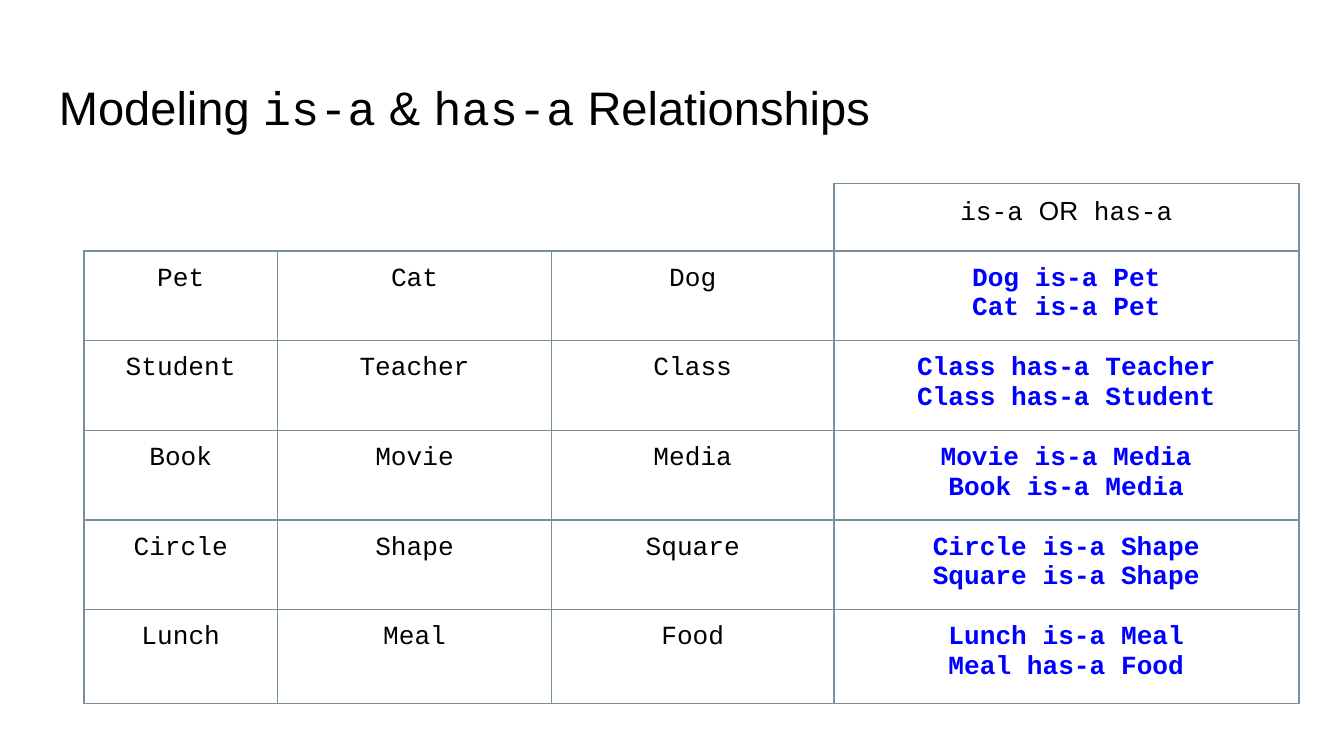
from copy import deepcopy
from lxml.etree import SubElement
from pptx import Presentation
from pptx.dml.color import RGBColor
from pptx.enum.text import PP_ALIGN, MSO_ANCHOR
from pptx.oxml.ns import qn
from pptx.util import Inches, Pt

SANS, MONO = "Arial", "Courier New"
TITLE = [("Modeling ", SANS), ("is-a", MONO), (" & ", SANS),
         ("has-a", MONO), (" Relationships", SANS)]
HEAD = [("is-a ", MONO), ("OR", SANS), (" has-a", MONO)]
ROWS = [
    ("Pet", "Cat", "Dog", "Dog is-a Pet\nCat is-a Pet"),
    ("Student", "Teacher", "Class", "Class has-a Teacher\nClass has-a Student"),
    ("Book", "Movie", "Media", "Movie is-a Media\nBook is-a Media"),
    ("Circle", "Shape", "Square", "Circle is-a Shape\nSquare is-a Shape"),
    ("Lunch", "Meal", "Food", "Lunch is-a Meal\nMeal has-a Food"),
]
THEME = {"ink": "000000", "key": "0000FF", "rule": "78909C", "blank": "FFFFFF",
         "title": 25.2, "body": 14, "line": 0.75}
WIDE = 10
HIGH = WIDE * 9 / 16
COLS = [1.44, 2.04, 2.1, 3.46]
TALL = [0.45] + [0.56] * 4 + [0.7]
LEFT, TOP = WIDE / 16, 0.243 * HIGH
PAD = Inches(0.1)


def write(frame, parts, size, color="ink", bold=False, align=PP_ALIGN.LEFT):
    para = frame.paragraphs[0]
    para.alignment = align
    for text, face in parts:
        for num, line in enumerate(text.split("\n")):
            if num:
                para.add_line_break()
                para._p[-1].append(deepcopy(run._r.rPr))
            run = para.add_run()
            run.text = line
            font = run.font
            font.name, font.size, font.bold = face, Pt(THEME[size]), bold
            font.color.rgb = RGBColor.from_string(THEME[color])


def pad(box):
    box.margin_left = box.margin_right = PAD
    box.margin_top = box.margin_bottom = PAD


def edge(cell, sides):
    pad(cell)
    cell.vertical_anchor = MSO_ANCHOR.TOP
    props = cell._tc.get_or_add_tcPr()
    for side, color in sides.items():
        line = SubElement(props, qn(f"a:ln{side}"), w=str(Pt(THEME["line"])))
        fill = SubElement(line, qn("a:solidFill"))
        SubElement(fill, qn("a:srgbClr"), val=THEME[color])
    cell.fill.background()


def head(slide):
    box = slide.shapes.add_textbox(Inches(0.034 * WIDE), Inches(0.086 * HIGH),
                                   Inches(0.932 * WIDE), Inches(0.112 * HIGH))
    frame = box.text_frame
    frame.word_wrap = True
    pad(frame)
    write(frame, TITLE, "title")


def grid(slide):
    table = slide.shapes.add_table(len(TALL), len(COLS), Inches(LEFT), Inches(TOP),
                                   Inches(sum(COLS)), Inches(sum(TALL))).table
    table.first_row = table.horz_banding = False
    for col, width in zip(table.columns, COLS):
        col.width = Inches(width)
    for row, height in zip(table.rows, TALL):
        row.height = Inches(height)
    last = len(COLS) - 1
    for col in range(last):
        side = "rule" if col == last - 1 else "blank"
        edge(table.cell(0, col), {"L": "blank", "R": side, "T": "blank", "B": "rule"})
    cells = [(0, last, HEAD, False)]
    cells += [(r, c, [(text, MONO)], c == last)
              for r, row in enumerate(ROWS, 1) for c, text in enumerate(row)]
    for r, c, parts, key in cells:
        cell = table.cell(r, c)
        edge(cell, dict.fromkeys("LRTB", "rule"))
        write(cell.text_frame, parts, "body", color="key" if key else "ink",
              bold=key, align=PP_ALIGN.CENTER)


def main():
    deck = Presentation()
    deck.slide_width, deck.slide_height = Inches(WIDE), Inches(HIGH)
    slide = deck.slides.add_slide(deck.slide_layouts[6])
    head(slide)
    grid(slide)
    deck.save("out.pptx")


if __name__ == "__main__":
    main()
